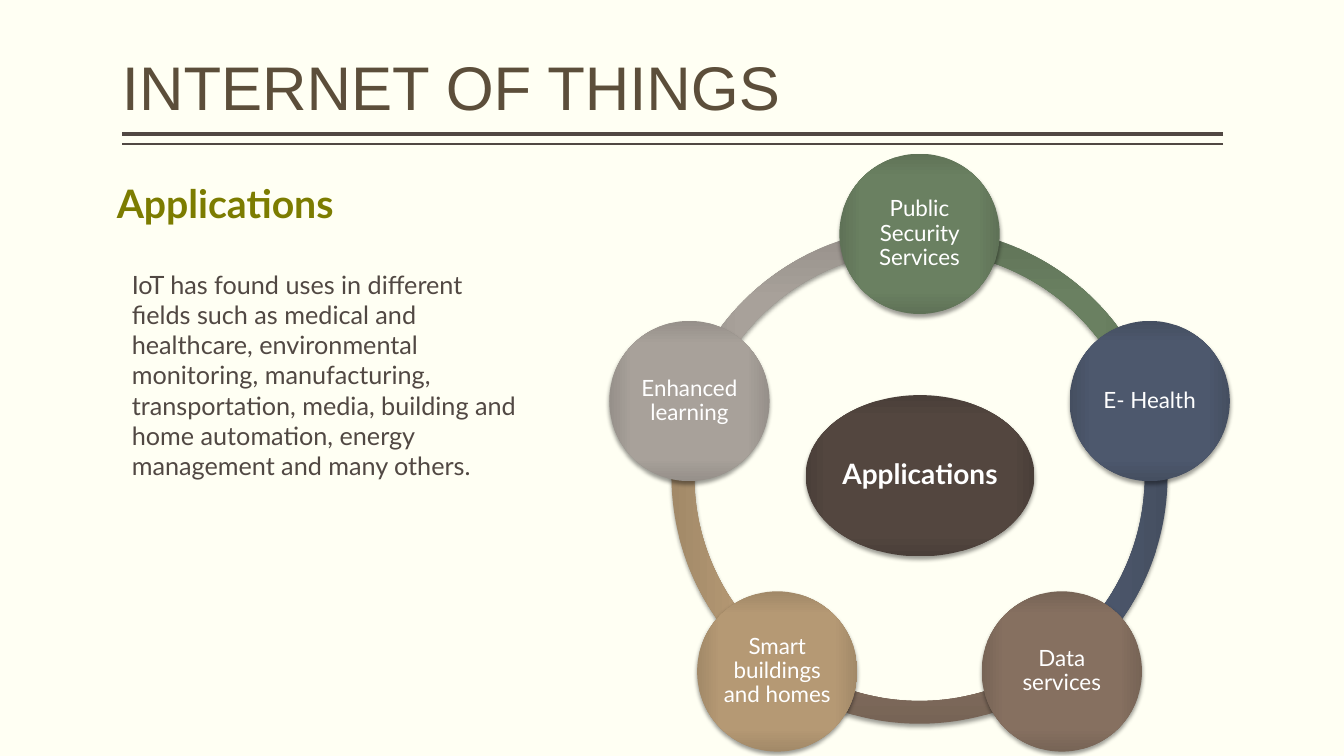
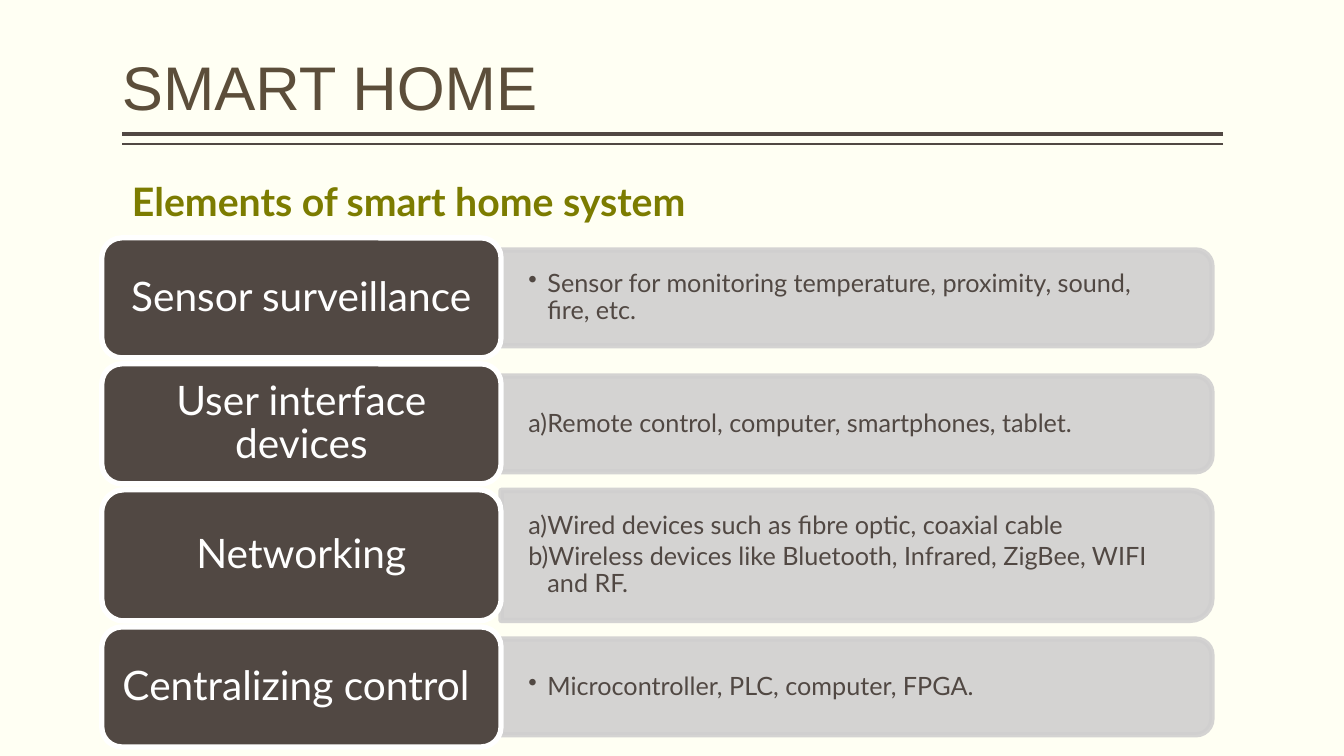
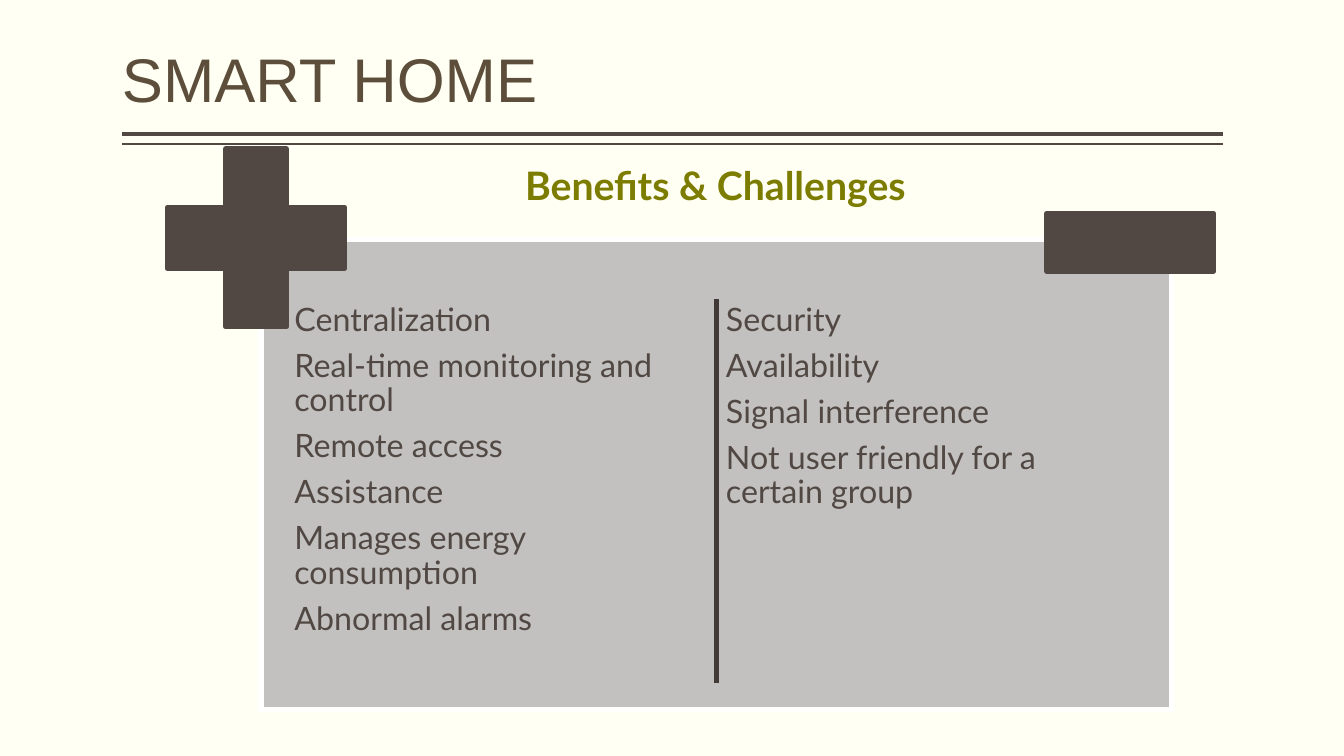
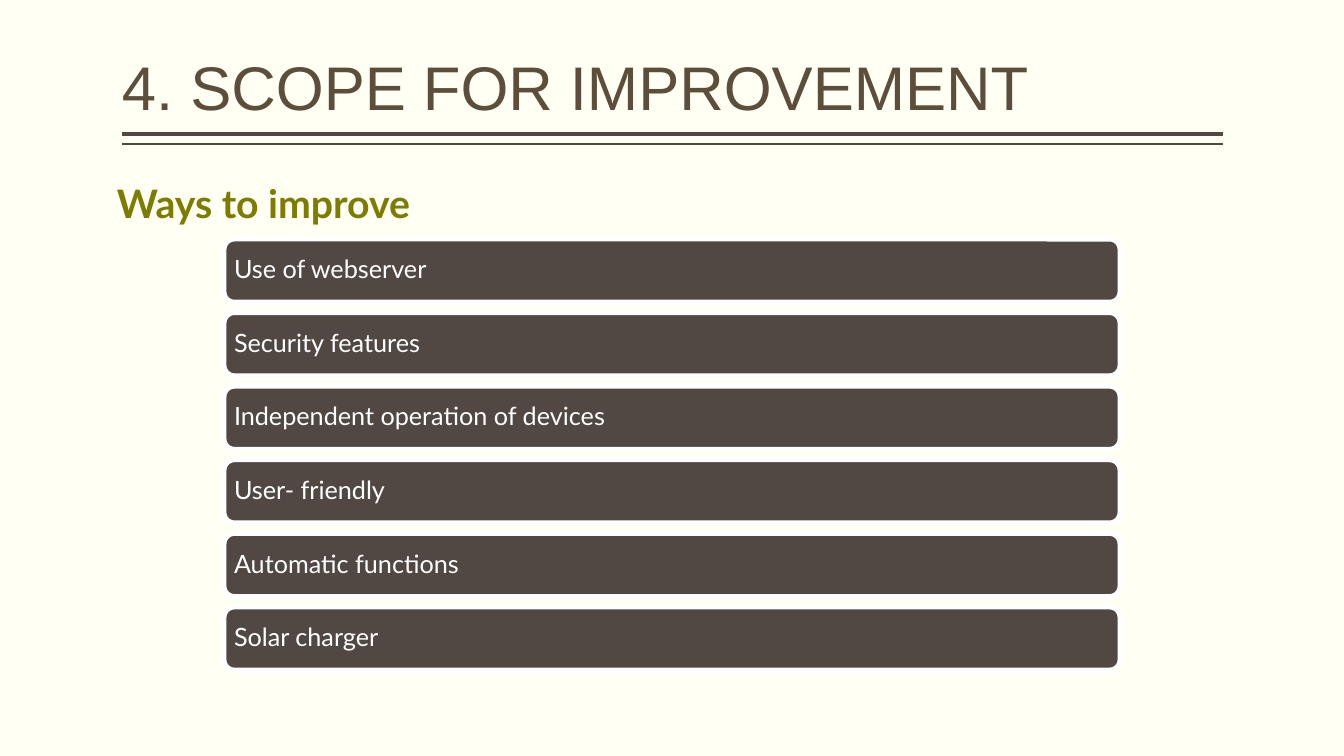
from dataclasses import dataclass
import math
import lxml.etree
import pptx
import pptx.dml.color
import pptx.enum.shapes
import pptx.enum.text
import pptx.oxml
import pptx.oxml.ns
import pptx.util

Inches, Pt = pptx.util.Inches, pptx.util.Pt
qn = pptx.oxml.ns.qn
Kind = pptx.enum.shapes.MSO_SHAPE
Align = pptx.enum.text.PP_ALIGN
Anchor = pptx.enum.text.MSO_ANCHOR
Fit = pptx.enum.text.MSO_AUTO_SIZE


# Theme: colours, type and line widths
@dataclass(frozen=True)
class Look:
    size: float
    color: str
    font: str = "Lato"
    bold: bool = False
    align: Align = Align.LEFT
    lead: float = 0.9
    after: float = 0.35  # share of the type size


@dataclass(frozen=True)
class Theme:
    paper: str = "FFFFF3"
    dark: str = "514843"
    white: str = "FFFFFF"
    bar: str = "D0CFCF"
    panel: str = "C2C1C0"
    split: str = "413A36"
    hub: str = "544740"
    edge: float = 3.78
    title: Look = Look(44, "5C4E3A", "Arial", after=0)
    head: Look = Look(28, "7C7C00", bold=True, lead=1, after=0)
    prose: Look = Look(18, "514843", lead=1, after=0)
    point: Look = Look(18, "514843", after=0.15)
    list: Look = Look(23, "514843")
    step: Look = Look(18, "FFFFFF")
    label: Look = Look(29, "FFFFFF", align=Align.CENTER)
    node: Look = Look(16, "FFFFFF", align=Align.CENTER)
    core: Look = Look(20, "FFFFFF", bold=True, align=Align.CENTER)


THEME = Theme()


@dataclass(frozen=True)
class Box:
    left: float
    top: float
    width: float
    height: float

    def place(self) -> tuple:
        return tuple(Inches(v) for v in (self.left, self.top, self.width, self.height))


@dataclass(frozen=True)
class Node:
    text: str
    color: str


@dataclass(frozen=True)
class Row:
    label: str
    points: tuple
    mark: str
    height: float
    bar: float


NODES = (
    Node("Public Security Services", "6B8162"),
    Node("E- Health", "4E596E"),
    Node("Data services", "877161"),
    Node("Smart buildings and homes", "B79B75"),
    Node("Enhanced learning", "AAA39C"),
)
ROWS = (
    Row("Sensor surveillance",
        ("Sensor for monitoring temperature, proximity, sound, fire, etc.",),
        "dot", 1.19, 0.95),
    Row("User interface devices",
        ("Remote control, computer, smartphones, tablet.",), "letter", 1.19, 0.95),
    Row("Networking",
        ("Wired devices such as fibre optic, coaxial cable",
         "Wireless devices like Bluetooth, Infrared, ZigBee, WIFI and RF."),
        "letter", 1.3, 1.29),
    Row("Centralizing control ",
        ("Microcontroller, PLC, computer, FPGA.",), "dot", 1.19, 0.95),
)
GOOD = ("Centralization", "Real-time monitoring and control", "Remote access",
        "Assistance", "Manages energy consumption", "Abnormal alarms")
BAD = ("Security", "Availability", "Signal interference",
       "Not user friendly for a certain group")
STEPS = ("Use of webserver", "Security features", "Independent operation of devices",
         "User- friendly", "Automatic functions", "Solar charger")


# Text
def rgb(code: str) -> pptx.dml.color.RGBColor:
    return pptx.dml.color.RGBColor.from_string(code)


def bullet(para, mark: str) -> None:
    props = para._p.get_or_add_pPr()
    hang = 0 if mark == "none" else Inches(0.19)
    props.set("marL", str(hang))
    props.set("indent", str(-hang))
    tag, key, value = {
        "none": ("a:buNone", "", ""),
        "dot": ("a:buChar", "char", "•"),
        "letter": ("a:buAutoNum", "type", "alphaLcParenR"),
    }[mark]
    node = lxml.etree.SubElement(props, qn(tag))
    if key:
        node.set(key, value)


def write(shape, lines: tuple, look: Look, pad: tuple = (0.1, 0.05),
          anchor: Anchor = Anchor.MIDDLE, mark: str = "none", fit: Fit = Fit.NONE) -> None:
    frame = shape.text_frame
    frame.word_wrap = True
    frame.auto_size = fit
    frame.vertical_anchor = anchor
    frame.margin_left = frame.margin_right = Inches(pad[0])
    frame.margin_top = frame.margin_bottom = Inches(pad[1])
    frame.text = "\n".join(lines)
    for para in frame.paragraphs:
        para.alignment = look.align
        para.line_spacing = look.lead
        para.space_before = Pt(0)
        para.space_after = Pt(round(look.size * look.after, 1))
        bullet(para, mark)
        font = para.font
        font.name, font.size, font.bold = look.font, Pt(look.size), look.bold
        font.color.rgb = rgb(look.color)


def note(slide, box: Box, text: str, look: Look) -> None:
    write(slide.shapes.add_textbox(*box.place()), (text,), look,
          anchor=Anchor.TOP, fit=Fit.SHAPE_TO_FIT_TEXT)


# Shapes
def draw(slide, kind: Kind, box: Box, fill: str, line: str = ""):
    shape = slide.shapes.add_shape(kind, *box.place())
    shape.shadow.inherit = False
    shape.fill.solid()
    shape.fill.fore_color.rgb = rgb(fill)
    if line:
        shape.line.color.rgb = rgb(line)
        shape.line.width = Pt(THEME.edge)
    else:
        shape.line.fill.background()
    return shape


def shade(color: str, part: float) -> str:
    return "".join(f"{round(v * part):02X}" for v in rgb(color))


def glow(slide, kind: Kind, box: Box, color: str):
    """Draw a shape with darker edges and a soft shadow."""
    shape = draw(slide, kind, box, color)
    props = shape.element.spPr
    stops = "".join(
        f'<a:gs pos="{pos}000"><a:srgbClr val="{shade(color, part)}"/></a:gs>'
        for pos, part in ((0, 1), (71, 0.99), (100, 0.885)))
    space = pptx.oxml.ns.nsdecls("a")
    props.replace(props.find(qn("a:solidFill")), pptx.oxml.parse_xml(
        f'<a:gradFill {space}><a:gsLst>{stops}</a:gsLst><a:path path="rect">'
        '<a:fillToRect l="50000" t="50000" r="50000" b="50000"/></a:path></a:gradFill>'))
    props.find(qn("a:effectLst")).append(pptx.oxml.parse_xml(
        f'<a:outerShdw {space} blurRad="{Pt(3.1)}" dist="{Pt(2)}" dir="5400000" '
        'rotWithShape="0"><a:srgbClr val="000000"><a:alpha val="38000"/>'
        '</a:srgbClr></a:outerShdw>'))
    return shape


def rule(slide, start: tuple, end: tuple, color: str, width: float) -> None:
    line = slide.shapes.add_connector(
        pptx.enum.shapes.MSO_CONNECTOR.STRAIGHT, *(Inches(v) for v in start + end))
    line.line.color.rgb = rgb(color)
    line.line.width = Pt(width)
    lxml.etree.SubElement(line.element.spPr, qn("a:effectLst"))


# Frame shared by all slides
def start(deck, title: str, layout: int = 5, top: float = 0.08, width: float = 10.92):
    slide = deck.slides.add_slide(deck.slide_layouts[layout])
    for y, weight in ((1.33, 3), (1.43, 1)):
        rule(slide, (12.13, y), (1.21, y), THEME.dark, weight)
    move(slide.shapes.title, Box(1.21, top, width, 1.2))
    write(slide.shapes.title, (title,), THEME.title, (0, 0.05), Anchor.BOTTOM)
    return slide


def move(shape, box: Box) -> None:
    shape.left, shape.top, shape.width, shape.height = box.place()


# Slides
def fields(deck) -> None:
    slide = start(deck, "INTERNET OF THINGS")
    mid_x, mid_y, orbit, ring, size = 9.12, 4.72, 2.4, 4.92, 1.59
    turn = 360 / len(NODES)
    for i, node in reversed(tuple(enumerate(NODES))):
        arc = glow(slide, Kind.BLOCK_ARC,
                   Box(mid_x - ring / 2, mid_y - ring / 2, ring, ring), node.color)
        for n in (0, 1):
            arc.adjustments[n] = (270 + turn * (i + n)) % 360 * 0.6
        arc.adjustments[2] = 0.046
    hub = glow(slide, Kind.OVAL, Box(7.99, 3.92, 2.27, 1.6), THEME.hub)
    write(hub, ("Applications",), THEME.core, (0.03, 0.03))
    for i, node in enumerate(NODES):
        angle = math.radians(270 + turn * i)
        left = mid_x + orbit * math.cos(angle) - size / 2
        top = mid_y + orbit * math.sin(angle) - size / 2
        disc = glow(slide, Kind.OVAL, Box(left, top, size, size), node.color)
        write(disc, (node.text,), THEME.node, (0.02, 0.02))
    note(slide, Box(1.06, 1.73, 2.71, 0.57), "Applications", THEME.head)
    note(slide, Box(1.21, 2.62, 4.04, 2.22),
         "IoT has found uses in different fields such as medical and healthcare, "
         "environmental monitoring, manufacturing, transportation, media, building "
         "and home automation, energy management and many others.", THEME.prose)


def parts(deck) -> None:
    slide = start(deck, "SMART HOME")
    left, edge, span, top, gap = 1.01, 4.97, 7.05, 2.36, 0.06
    for row in ROWS:
        mid = top + row.height / 2
        # The bar is drawn upright, then turned so its round end faces right
        bar = draw(slide, Kind.ROUND_2_SAME_RECTANGLE,
                   Box(edge + (span - row.bar) / 2, mid - span / 2, row.bar, span),
                   THEME.bar, THEME.bar)
        bar.rotation = 90
        for color in bar.element.spPr.iter(qn("a:srgbClr")):
            lxml.etree.SubElement(color, qn("a:alpha")).set("val", "90000")
        area = Box(edge, mid - row.bar / 2, 7, row.bar)
        write(slide.shapes.add_textbox(*area.place()), row.points, THEME.point,
              (0.27, 0.14), mark=row.mark)
        label = draw(slide, Kind.ROUNDED_RECTANGLE,
                     Box(left, top, edge - left, row.height), THEME.dark, THEME.white)
        write(label, (row.label,), THEME.label, (0.12, 0.06))
        top += row.height + gap
    note(slide, Box(1.21, 1.71, 7.33, 0.57), "Elements of smart home system", THEME.head)


def sides(deck) -> None:
    slide = start(deck, "SMART HOME", layout=3, top=0)
    note(slide, Box(5.11, 1.55, 4.47, 0.57), "Benefits & Challenges", THEME.head)
    panel = draw(slide, Kind.RECTANGLE, Box(2.59, 2.38, 9.03, 4.66),
                 THEME.panel, THEME.white)
    for slot, left, lines in ((1, 2.87, GOOD), (2, 7.15, BAD)):
        body = slide.placeholders[slot]
        move(body, Box(left, 2.96, 4.19, 3.99))
        write(body, lines, THEME.list, (0.05, 0.05), Anchor.TOP)
        panel.element.addnext(body.element)
    plus = draw(slide, Kind.CROSS, Box(1.66, 1.48, 1.76, 1.76), THEME.dark, THEME.dark)
    plus.adjustments[0] = 0.328
    draw(slide, Kind.RECTANGLE, Box(10.38, 2.12, 1.66, 0.57), THEME.dark, THEME.dark)
    rule(slide, (7.11, 2.97), (7.11, 6.78), THEME.split, THEME.edge)


def steps(deck) -> None:
    slide = start(deck, "4. SCOPE FOR IMPROVEMENT", width=11.93)
    note(slide, Box(1.06, 1.73, 5.28, 0.57), "Ways to improve", THEME.head)
    for i, text in enumerate(STEPS):
        strip = draw(slide, Kind.ROUNDED_RECTANGLE,
                     Box(2.22, 2.37 + 0.73 * i, 8.89, 0.63), THEME.dark, THEME.white)
        write(strip, (text,), THEME.step, (0.07, 0.07))


def main() -> None:
    deck = pptx.Presentation()
    deck.slide_width, deck.slide_height = Inches(13.33), Inches(7.5)
    paper = deck.slide_master.background.fill
    paper.solid()
    paper.fore_color.rgb = rgb(THEME.paper)
    for build in (fields, parts, sides, steps):
        build(deck)
    deck.save("out.pptx")


if __name__ == "__main__":
    main()
